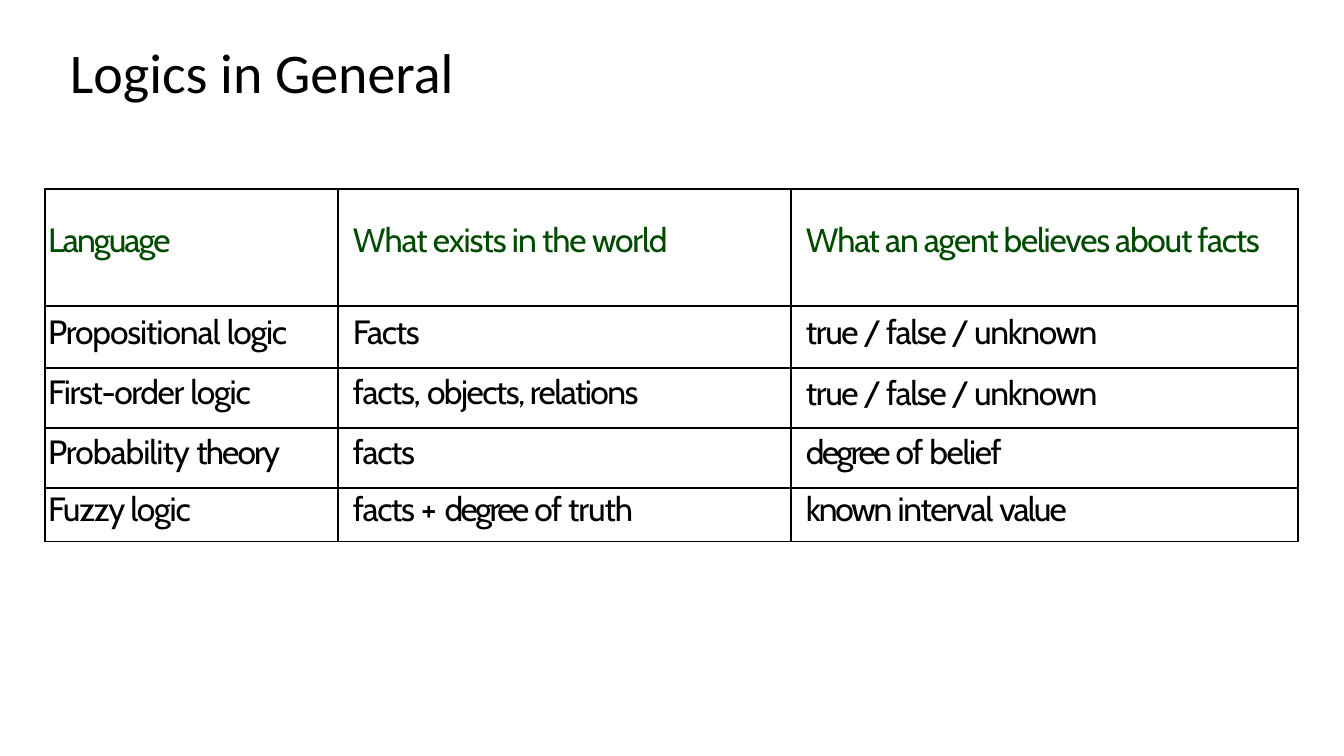
from dataclasses import dataclass

from lxml.etree import SubElement
from pptx import Presentation
from pptx.dml.color import RGBColor as RGB
from pptx.enum.text import MSO_ANCHOR as Anchor
from pptx.oxml.ns import qn
from pptx.util import Pt

EMU_PER_PX = 914400 / 100.8


def px(length):
    return round(length * EMU_PER_PX)


@dataclass(frozen=True)
class Theme:
    ink: str = "000000"
    heading: str = "004B00"
    title_font: str = "Calibri"
    table_font: str = "Cabin"
    title_size: int = 40
    table_size: int = 24
    border: int = 1


class SlideBuilder:
    def __init__(self, slide, theme):
        self.slide = slide
        self.theme = theme

    def style_run(self, paragraph, text, font, size, color, spacing=0):
        run = paragraph.add_run()
        run.text = text
        for name, value in {"name": font, "size": Pt(size)}.items():
            setattr(run.font, name, value)
        run.font.color.rgb = RGB.from_string(color)
        if spacing:
            run.font._element.set("spc", str(round(spacing * 100)))

    def title(self, text, left, top, width, height):
        frame = self.slide.shapes.add_textbox(*map(px, (left, top, width, height))).text_frame
        for name, value in {"word_wrap": True, "vertical_anchor": Anchor.MIDDLE}.items():
            setattr(frame, name, value)
        paragraph = frame.paragraphs[0]
        paragraph.line_spacing = 0.9
        self.style_run(paragraph, text, self.theme.title_font, self.theme.title_size, self.theme.ink)

    def cell_borders(self, cell):
        properties = cell._tc.get_or_add_tcPr()
        for side in ("lnL", "lnR", "lnT", "lnB"):
            line = SubElement(properties, qn(f"a:{side}"), w=str(Pt(self.theme.border)))
            fill = SubElement(line, qn("a:solidFill"))
            SubElement(fill, qn("a:srgbClr"), val=self.theme.ink)

    def cell(self, cell, runs, color, indent, leading):
        margins = {f"margin_{side}": 0 for side in ("left", "right", "top", "bottom")}
        for name, value in {**margins, "vertical_anchor": Anchor.MIDDLE}.items():
            setattr(cell, name, value)
        self.cell_borders(cell)
        cell.fill.background()
        paragraph = cell.text_frame.paragraphs[0]
        paragraph.line_spacing = Pt(leading)
        paragraph._p.get_or_add_pPr().set("marL", str(px(indent)))
        for text, spacing in runs:
            self.style_run(paragraph, text, self.theme.table_font, self.theme.table_size, color, spacing)

    def table(self, left, top, widths, heights, indents, rows):
        box = map(px, (left, top, sum(widths), sum(heights)))
        table = self.slide.shapes.add_table(len(rows), len(widths), *box).table
        for flag in ("first_row", "horz_banding"):
            setattr(table, flag, False)
        for column, width in zip(table.columns, widths):
            column.width = px(width)
        for r, (leadings, contents) in enumerate(rows):
            table.rows[r].height = px(heights[r])
            color = self.theme.ink if r else self.theme.heading
            for c, runs in enumerate(contents):
                self.cell(table.cell(r, c), runs, color, indents[c], leadings[c])


TRUTH_VALUES = [("true / false / unknown", -1)]
DEGREE_OF = [("degree ", -1.8), ("of ", -1.1)]

LOGICS = [
    ((19.8, 19.8, 19.8), (
        [("Language", -1.4)],
        [("What exists in the world", -0.8)],
        [("What an agent believes about facts", -0.9)])),
    ((22.9, 22.9, 22.9), (
        [("Propositional ", -0.8), ("logic", -0.9)],
        [("Facts", -1)],
        TRUTH_VALUES)),
    ((21.9, 21.9, 22.9), (
        [("First-order ", -1), ("logic", -0.9)],
        [("facts, ", -1), ("objects, relations", -1.1)],
        TRUTH_VALUES)),
    ((21.9, 21.9, 21.9), (
        [("Probability ", -0.7), ("theory", -1.3)],
        [("facts", -1)],
        DEGREE_OF + [("belief", -1)])),
    ((21.8, 21.8, 21.8), (
        [("Fuzzy logic", -0.9)],
        [("facts ", -1), ("+ ", 0.1)] + DEGREE_OF + [("truth", -0.8)],
        [("known ", -1.6), ("interval ", -1), ("value", -1.4)])),
]


def main():
    deck = Presentation()
    deck.slide_width, deck.slide_height = px(1344), px(756)
    builder = SlideBuilder(deck.slides.add_slide(deck.slide_layouts[6]), Theme())
    builder.title("Logics in General", 60, 40, 1159, 70)
    builder.table(45, 189, (293, 453, 507), (117, 62, 60, 60, 54), (3, 15, 15), LOGICS)
    deck.save("out.pptx")


if __name__ == "__main__":
    main()
